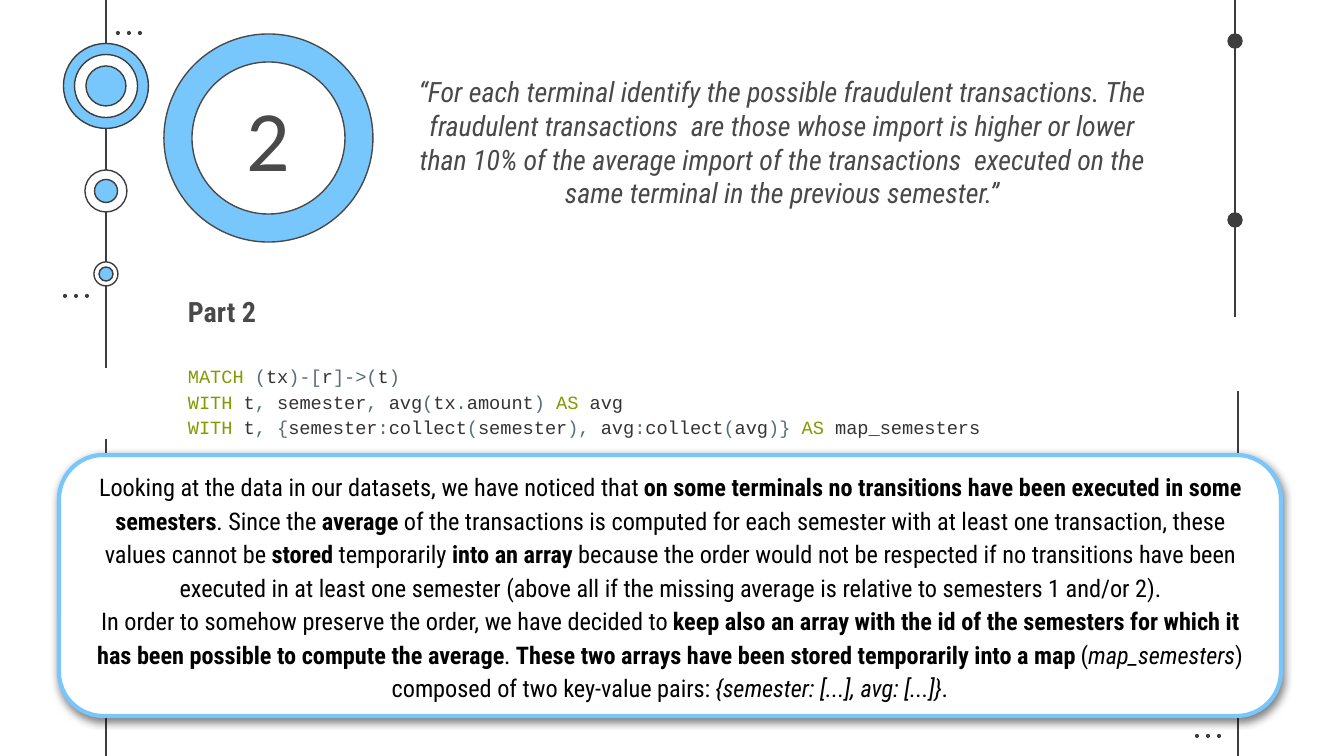
"""Build the slide on fraudulent transactions per terminal."""
from dataclasses import dataclass
from itertools import groupby

from lxml.etree import SubElement
from pptx import Presentation
from pptx.dml.color import RGBColor as Rgb
from pptx.enum.shapes import MSO_CONNECTOR as Connector, MSO_SHAPE as Shape
from pptx.enum.text import MSO_ANCHOR as Anchor, PP_ALIGN as Align
from pptx.oxml.ns import qn
from pptx.util import Pt

SCALE = 9144000 / 1344
WIDTH, HEIGHT = 1344, 756
KEYWORDS = {"MATCH", "WITH", "AS"}


def px(length):
    return round(length * SCALE)


@dataclass(frozen=True)
class Theme:
    blue: str = "77C6FC"
    white: str = "FFFFFF"
    dark: str = "3D3D3D"
    grey: str = "494949"
    black: str = "000000"
    keyword: str = "859900"
    symbol: str = "586E75"
    name: str = "333333"
    sans: str = "Roboto Condensed"
    mono: str = "Courier New"
    number_font: str = "Calibri"
    number_size: int = 46
    lead_size: int = 15
    body_size: int = 13
    code_size: int = 10
    thin: float = 0.75
    thick: float = 2.25
    inset: int = 13

    def font(self, style):
        lead = (self.sans, self.lead_size, self.grey)
        body = (self.sans, self.body_size, self.black)
        code = (self.mono, self.code_size)
        name, size, color, bold, italic = {
            "number": (self.number_font, self.number_size, self.grey, False, False),
            "quote": (*lead, False, True),
            "heading": (*lead, True, False),
            "body": (*body, False, False),
            "strong": (*body, True, False),
            "emphasis": (*body, False, True),
            "keyword": (*code, self.keyword, False, False),
            "symbol": (*code, self.symbol, False, False),
            "name": (*code, self.name, False, False),
        }[style]
        return {"name": name, "size": Pt(size), "bold": bold, "italic": italic}, color


@dataclass
class SlideBuilder:
    theme: Theme
    slide: object

    def line(self, x, top, bottom):
        line = self.slide.shapes.add_connector(
            Connector.STRAIGHT, px(x), px(top), px(x), px(bottom))
        line.line.color.rgb = Rgb.from_string(self.theme.dark)
        line.line.width = Pt(self.theme.thin)
        SubElement(line._element.spPr, qn("a:effectLst"))

    def shape(self, kind, box, fill, outline=None, weight=None):
        shape = self.slide.shapes.add_shape(kind, *map(px, box))
        shape.shadow.inherit = False
        shape.fill.solid()
        shape.fill.fore_color.rgb = Rgb.from_string(fill)
        if outline:
            shape.line.color.rgb = Rgb.from_string(outline)
            shape.line.width = Pt(weight or self.theme.thin)
        else:
            shape.line.fill.background()
        return shape

    def rings(self, x, y, *discs):
        for size, fill in discs:
            box = (x - size / 2, y - size / 2, size, size)
            self.shape(Shape.OVAL, box, fill, self.theme.dark)

    def dots(self, left, top):
        for index in range(3):
            self.shape(Shape.OVAL, (left + 11 * index, top, 4, 4), self.theme.dark)

    def fill_text(self, shape, paragraphs, anchor=Anchor.TOP):
        frame = shape.text_frame
        inset = px(self.theme.inset)
        settings = {"word_wrap": True, "vertical_anchor": anchor,
                    "margin_left": inset, "margin_right": inset,
                    "margin_top": inset, "margin_bottom": inset}
        for key, value in settings.items():
            setattr(frame, key, value)
        for index, (layout, runs) in enumerate(paragraphs):
            paragraph = frame.add_paragraph() if index else frame.paragraphs[0]
            for key, value in layout.items():
                setattr(paragraph, key, value)
            for style, text in runs:
                run = paragraph.add_run()
                run.text = text
                values, color = self.theme.font(style)
                for key, value in values.items():
                    setattr(run.font, key, value)
                run.font.color.rgb = Rgb.from_string(color)

    def text(self, box, paragraphs):
        self.fill_text(self.slide.shapes.add_textbox(*map(px, box)), paragraphs)

    def card(self, box, paragraphs):
        card = self.shape(Shape.ROUNDED_RECTANGLE, box, self.theme.white,
                          self.theme.blue, self.theme.thick)
        card.adjustments[0] = 0.17
        effects = card._element.spPr.find(qn("a:effectLst"))
        shadow = SubElement(effects, qn("a:outerShdw"), blurRad=str(Pt(4.5)),
                            dist=str(Pt(1.5)), dir="5400000", algn="bl", rotWithShape="0")
        color = SubElement(shadow, qn("a:srgbClr"), val=self.theme.black)
        SubElement(color, qn("a:alpha"), val="50000")
        self.fill_text(card, paragraphs, Anchor.MIDDLE)


def char_kind(char):
    return "space" if char == " " else "word" if char.isalnum() or char == "_" else "symbol"


def code_runs(line):
    for kind, chars in groupby(line, char_kind):
        token = "".join(chars)
        style = "keyword" if token in KEYWORDS else "symbol" if kind == "symbol" else "name"
        yield style, token


CODE = [
    "MATCH (tx)-[r]->(t)",
    "WITH t, semester, avg(tx.amount) AS avg",
    "WITH t, {semester:collect(semester), avg:collect(avg)} AS map_semesters",
]
QUOTE = ("“For each terminal identify the possible fraudulent transactions. The fraudulent "
         "transactions  are those whose import is higher or lower than 10% of the average "
         "import of the transactions  executed on the same terminal in the previous semester.”")
NOTICED = [
    ("body", "Looking at the data in our datasets, we have noticed that "),
    ("strong", "on some terminals no transitions have been executed in some semesters"),
    ("body", ". Since the "),
    ("strong", "average "),
    ("body", "of the transactions is computed for each semester with at least one "
             "transaction, these values cannot be "),
    ("strong", "stored "),
    ("body", "temporarily "),
    ("strong", "into an array"),
    ("body", " because the order would not be respected if no transitions have been executed in "
             "at least one semester (above all if the missing average is relative to "
             "semesters 1 and/or 2)."),
]
DECIDED = [
    ("body", "In order to somehow preserve the order, we have decided to"),
    ("strong", " keep also an array with the id of the semesters for which it has been "
               "possible to compute the average"),
    ("body", ". "),
    ("strong", "These two arrays have been stored temporarily into a map"),
    ("body", " ("),
    ("emphasis", "map_semesters"),
    ("body", ") composed of two key-value pairs:"),
    ("emphasis", " {semester: [...], avg: [...]}"),
    ("body", "."),
]


def main():
    presentation = Presentation()
    presentation.slide_width, presentation.slide_height = px(WIDTH), px(HEIGHT)
    theme = Theme()
    builder = SlideBuilder(theme, presentation.slides.add_slide(presentation.slide_layouts[6]))
    blue, white = theme.blue, theme.white

    for x, top, bottom in [(106, 0, 368), (106, 439, HEIGHT),
                           (1235, 0, 317), (1238, 391, HEIGHT)]:
        builder.line(x, top, bottom)
    builder.rings(106, 86, (85, blue), (63, white), (40, blue))
    builder.rings(106, 191, (42, white), (23, blue))
    builder.rings(106, 274, (24, white), (14, blue))
    for y in (41, 220):
        builder.rings(1235, y, (14, theme.dark))
    for left, top in [(63, 294), (116, 31), (1195, 734)]:
        builder.dots(left, top)

    builder.shape(Shape.OVAL, (164, 34, 209, 208), blue, theme.grey)
    builder.shape(Shape.OVAL, (192, 62, 153, 152), white, theme.grey)
    centred = {"alignment": Align.CENTER}
    spaced = {"line_spacing": 1.15}
    builder.text((164, 73, 209, 131), [(centred, [("number", "2")])])
    builder.text((392, 62, 781, 180), [(centred, [("quote", QUOTE)])])
    heading = ({"space_after": Pt(18)}, [("heading", "Part 2")])
    builder.text((175, 281, 999, 435),
                 [heading] + [(spaced, code_runs(line)) for line in CODE])
    builder.card((59, 455, 1222, 261),
                 [(centred | spaced, runs) for runs in (NOTICED, DECIDED)])
    presentation.save("out.pptx")


if __name__ == "__main__":
    main()
